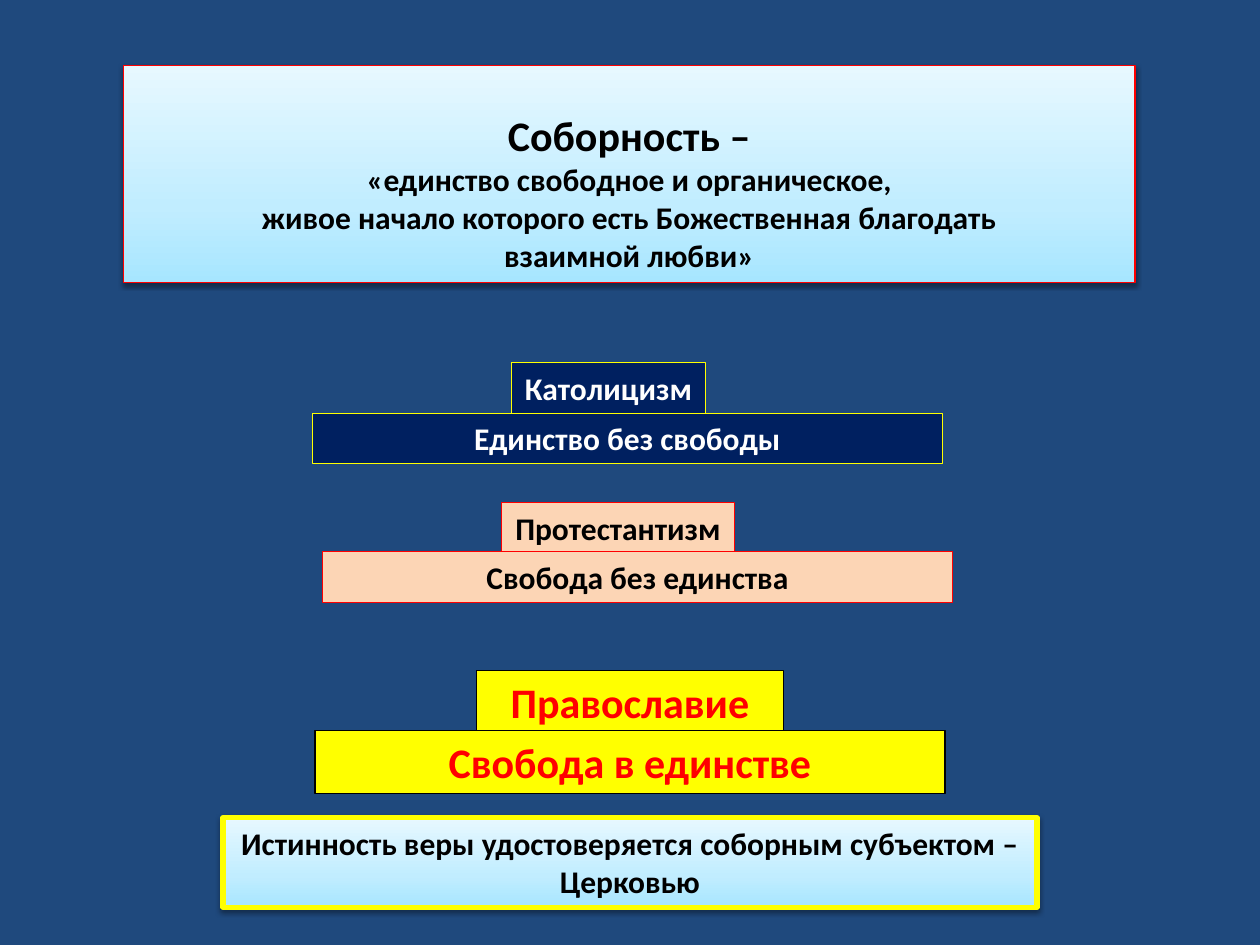
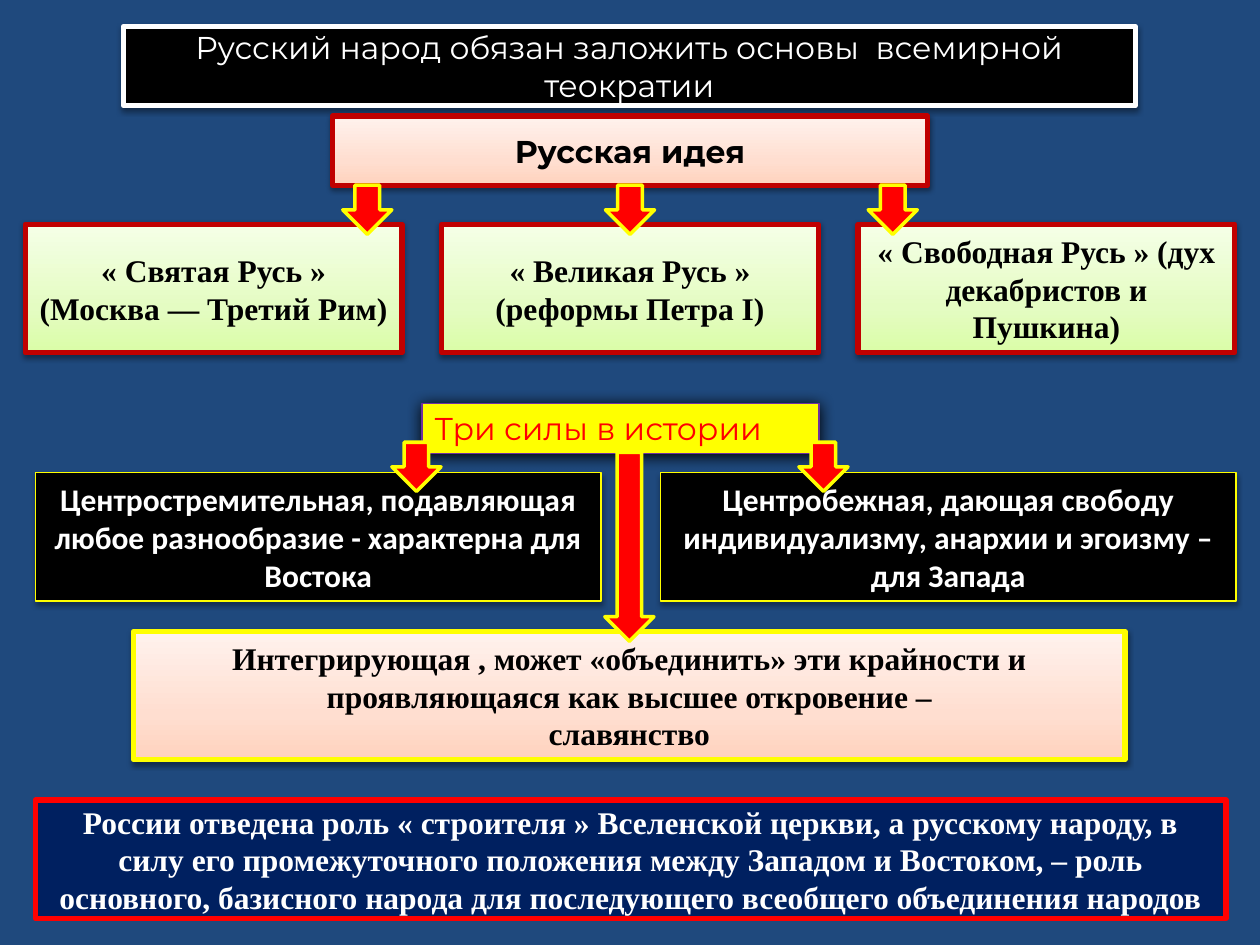
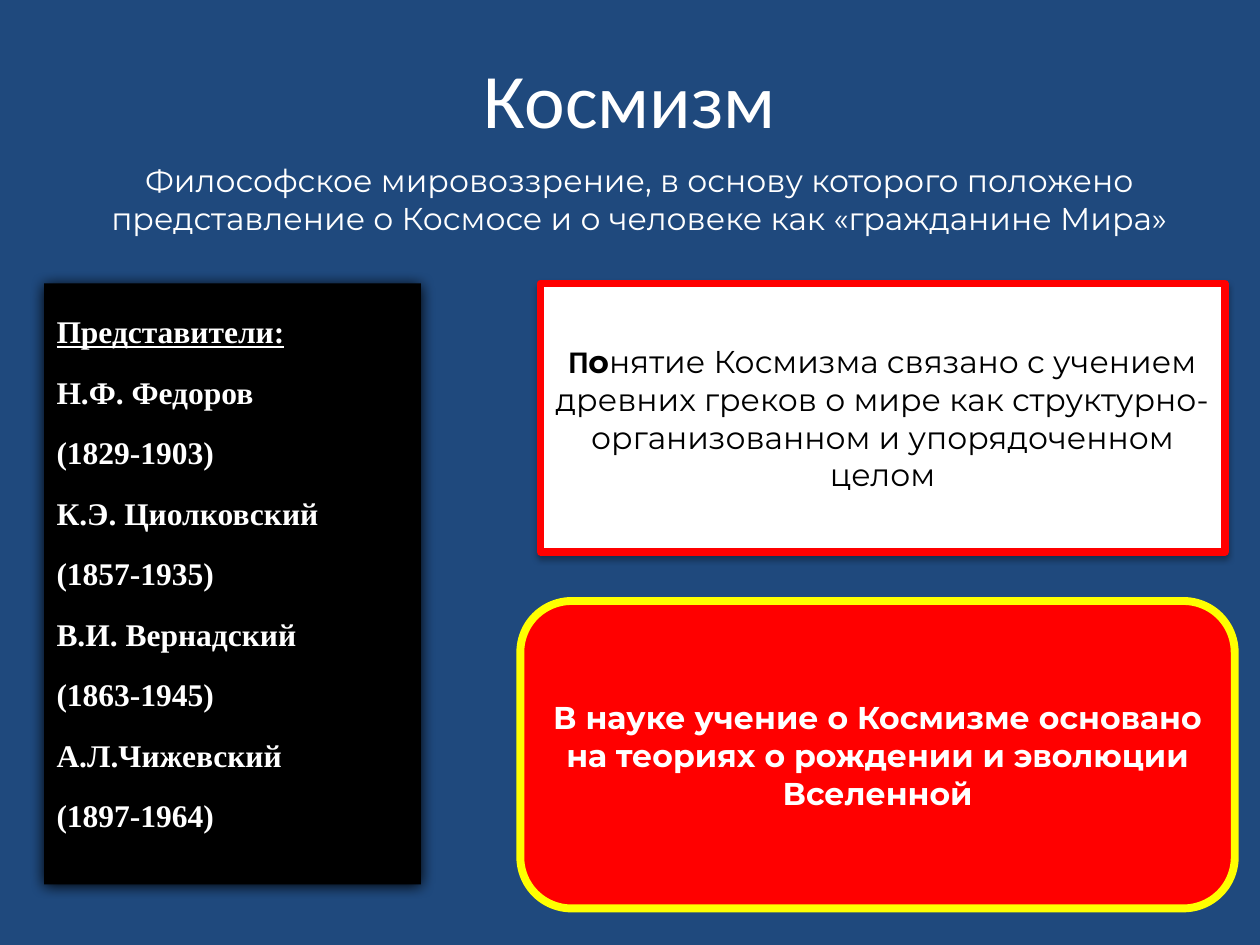
"""Builds three slides on Russian religious philosophy: sobornost, the Russian idea and cosmism."""
from dataclasses import dataclass

from lxml.etree import SubElement
from pptx import Presentation
from pptx.dml.color import RGBColor
from pptx.enum.shapes import MSO_SHAPE
from pptx.enum.text import MSO_ANCHOR, PP_ALIGN
from pptx.oxml.ns import qn
from pptx.util import Inches, Pt


@dataclass(frozen=True)
class Theme:
    background: str = "1F497D"
    black: str = "000000"
    white: str = "FFFFFF"
    red: str = "FF0000"
    dark_red: str = "C00000"
    yellow: str = "FFFF00"
    navy: str = "002060"
    peach: str = "FCD5B5"
    purple: str = "7030A0"
    sky: tuple = ("A7E6FF", "C1EDFF", "E7F8FF")
    salmon: tuple = ("FFD2BD", "FFDED0", "FFF2ED")
    lime: tuple = ("DAFDA7", "E4FCC2", "F5FFE7")
    stops: tuple = (0, 35, 100)
    soft: tuple = (38, 3.1, 1.6)
    medium: tuple = (35, 3.1, 1.8)
    wide: tuple = (32, 3.5, 2.2)
    heavy: tuple = (100, 8.5, 1)
    sans: str = "Calibri"
    accent: str = "Montserrat"
    serif: str = "Times New Roman"
    title: int = 44
    large: int = 24
    body: int = 18
    hairline: float = 0.75
    arrow: float = 2
    frame: float = 3
    thick: float = 4.5


T = Theme()


def rgb(value):
    return RGBColor.from_string(value)


def spread(first, last, count):
    step = (last - first) / (count - 1)
    return [first + i * step for i in range(count)]


class Deck:
    """Holds the presentation, its style and the current slide."""

    def __init__(self):
        self.prs = Presentation()
        self.prs.slide_width, self.prs.slide_height = Inches(10), Inches(7.5)
        fill = self.prs.slide_master.background.fill
        fill.solid()
        fill.fore_color.rgb = rgb(T.background)
        self.s = None

    def slide(self, title=None):
        layout = self.prs.slide_layouts[6 if title is None else 5]
        self.s = self.prs.slides.add_slide(layout)
        if title is not None:
            sp = self.s.shapes.title
            self.place(sp, 0.5, 0, 9, 1.55)
            self.add_runs(sp, [title], color=T.white, size=T.title, bold=False)

    def place(self, sp, *box):
        sp.left, sp.top, sp.width, sp.height = map(Inches, box)

    def add_runs(self, sp, paragraphs, color=T.black, font=T.sans, size=T.body, bold=True,
                 align=PP_ALIGN.CENTER, anchor=MSO_ANCHOR.MIDDLE, wrap=True, spacing=None):
        tf = sp.text_frame
        tf.word_wrap = wrap
        tf.vertical_anchor = anchor
        for i, runs in enumerate(paragraphs):
            p = tf.paragraphs[0] if i == 0 else tf.add_paragraph()
            p.alignment = align
            if spacing:
                p.line_spacing = spacing
            for text, changes in [(runs, {})] if isinstance(runs, str) else runs:
                style = dict(name=font, size=size, bold=bold) | changes
                r = p.add_run()
                r.text = text
                r.font.name = style["name"]
                r.font.size = Pt(style["size"])
                r.font.bold = style["bold"]
                r.font.underline = style.get("underline")
                r.font.color.rgb = rgb(color)

    def text(self, box, paragraphs, **style):
        sp = self.s.shapes.add_textbox(*map(Inches, box))
        self.add_runs(sp, paragraphs, **style)

    def gradient(self, sp, colors):
        sp.fill.gradient()
        sp.fill.gradient_angle = 90
        stops = sp._element.spPr.find(qn("a:gradFill")).find(qn("a:gsLst"))
        for stop in list(stops):
            stops.remove(stop)
        for position, color in zip(T.stops, colors):
            stop = SubElement(stops, qn("a:gs"), pos=str(position * 1000))
            SubElement(stop, qn("a:srgbClr"), val=color)

    def shadow(self, sp, alpha, blur, distance):
        effects = sp._element.spPr.find(qn("a:effectLst"))
        outer = SubElement(effects, qn("a:outerShdw"), blurRad=str(int(Pt(blur))),
                           dist=str(int(Pt(distance))), dir="5400000", rotWithShape="0")
        color = SubElement(outer, qn("a:srgbClr"), val=T.black)
        SubElement(color, qn("a:alpha"), val=str(alpha * 1000))

    def box(self, box, fill, line=None, width=T.hairline, shadow=None,
            paragraphs=(), kind=MSO_SHAPE.RECTANGLE, **style):
        sp = self.s.shapes.add_shape(kind, *map(Inches, box))
        if isinstance(fill, tuple):
            self.gradient(sp, fill)
        else:
            sp.fill.solid()
            sp.fill.fore_color.rgb = rgb(fill)
        if line:
            sp.line.color.rgb = rgb(line)
            sp.line.width = Pt(width)
        else:
            sp.line.fill.background()
        sp.shadow.inherit = False
        if shadow:
            self.shadow(sp, *shadow)
        self.add_runs(sp, paragraphs, **style)
        return sp

    def arrow(self, left, top, height=0.39):
        self.box((left, top, 0.39, height), T.red, T.yellow, T.arrow,
                 kind=MSO_SHAPE.DOWN_ARROW)


def sobornost(d):
    d.slide()
    definition = d.box((0.98, 0.52, 8.03, 1.72), T.sky, T.red, shadow=T.soft, paragraphs=[
        [("Соборность –", dict(size=T.large))],
        "«единство свободное и органическое,",
        "живое начало которого есть Божественная благодать",
        "взаимной любви»"], anchor=MSO_ANCHOR.TOP)
    definition.text_frame.margin_top = Inches(0.35)
    confessions = [
        ("Католицизм", (4.06, 2.88, 1.54, 0.4), "Единство без свободы", (2.48, 3.28, 5, 0.4),
         T.navy, T.yellow, T.white, T.body),
        ("Протестантизм", (3.98, 3.99, 1.85, 0.4), "Свобода без единства", (2.56, 4.38, 5, 0.4),
         T.peach, T.red, T.black, T.body),
        ("Православие", (3.78, 5.32, 2.44, 0.5), "Свобода в единстве", (2.5, 5.8, 5, 0.5),
         T.yellow, T.black, T.red, T.large)]
    for name, name_box, motto, motto_box, fill, line, color, size in confessions:
        for label, box in ((name, name_box), (motto, motto_box)):
            d.box(box, fill, line, paragraphs=[label], color=color, size=size,
                  anchor=MSO_ANCHOR.TOP, wrap=label != name)
    d.box((1.77, 6.49, 6.46, 0.71), T.sky, T.yellow, T.frame, T.soft, [
        "Истинность веры удостоверяется соборным субъектом –", "Церковью"],
        anchor=MSO_ANCHOR.TOP)


def russian_idea(d):
    d.slide()
    d.box((0.98, 0.21, 8.03, 0.63), T.black, T.white, T.frame, T.soft,
          ["Русский народ обязан заложить основы  всемирной теократии"],
          color=T.white, font=T.accent, bold=False)
    d.box((2.64, 0.92, 4.72, 0.55), T.salmon, T.dark_red, T.frame, T.soft,
          ["Русская идея"], font=T.accent)
    ideals = ["« Святая Русь » (Москва — Третий Рим)",
              "« Великая Русь » (реформы Петра I)",
              "« Свободная Русь » (дух декабристов и Пушкина)"]
    for left, ideal in zip(spread(0.2, 6.81, 3), ideals):
        d.box((left, 1.78, 2.99, 1.02), T.lime, T.dark_red, T.frame, T.soft,
              [ideal], font=T.serif)
    for left in spread(2.72, 6.89, 3):
        d.arrow(left, 1.47)
    d.box((3.35, 3.2, 3.15, 0.4), T.yellow, T.purple, shadow=T.heavy,
          paragraphs=["Три силы в истории"], color=T.red, font=T.accent, bold=False,
          align=PP_ALIGN.LEFT, anchor=MSO_ANCHOR.TOP)
    forces = [
        (5.24, 4.57, "Центробежная, дающая свободу индивидуализму, анархии и эгоизму – для Запада"),
        (0.28, 4.49, "Центростремительная, подавляющая любое разнообразие - характерна для Востока")]
    for left, width, force in forces:
        d.box((left, 3.75, width, 1.02), T.black, T.yellow, shadow=T.medium,
              paragraphs=[force], color=T.white)
    d.box((1.06, 5.01, 7.87, 1.02), T.salmon, T.yellow, T.frame, T.soft, [
        "Интегрирующая , может «объединить» эти крайности и проявляющаяся как высшее откровение –",
        "славянство"], font=T.serif)
    d.box((0.28, 6.35, 9.45, 0.94), T.navy, T.red, T.frame, paragraphs=[
        "России отведена роль « строителя » Вселенской церкви, а русскому народу, в силу его "
        "промежуточного положения между Западом и Востоком, – роль основного, базисного народа "
        "для последующего всеобщего объединения народов"], color=T.white, font=T.serif)
    for left in (3.11, 6.34):
        d.arrow(left, 3.51)
    d.arrow(4.8, 3.59, 1.5)


def cosmism(d):
    d.slide("Космизм")
    d.text((0.35, 1.23, 9.45, 1.01), [
        "Философское мировоззрение, в основу которого положено представление о Космосе "
        "и о человеке как «гражданине Мира»"],
        color=T.white, font=T.accent, bold=False, anchor=MSO_ANCHOR.TOP)
    d.box((0.35, 2.25, 2.99, 4.77), T.black, shadow=T.heavy, paragraphs=[
        [("Представители:", dict(underline=True))],
        "Н.Ф. Федоров", "(1829-1903)",
        "К.Э. Циолковский", "(1857-1935)",
        "В.И. Вернадский", "(1863-1945)",
        "А.Л.Чижевский", "(1897-1964)"],
        color=T.white, font=T.serif, align=PP_ALIGN.LEFT, anchor=MSO_ANCHOR.TOP, spacing=1.6)
    d.box((4.29, 2.25, 5.43, 2.13), T.white, T.red, T.thick, T.wide, [[
        ("П", dict(name=T.sans)), ("о", {}),
        ("нятие Космизма связано с учением древних греков о мире как "
         "структурно-организованном и упорядоченном целом", dict(bold=False))]], font=T.accent)
    d.box((4.13, 4.77, 5.67, 2.44), T.red, T.yellow, T.thick, paragraphs=[
        "В науке учение о Космизме основано на теориях о рождении и эволюции Вселенной"],
        kind=MSO_SHAPE.ROUNDED_RECTANGLE, color=T.white, font=T.accent)


def main():
    d = Deck()
    for build in (sobornost, russian_idea, cosmism):
        build(d)
    d.prs.save("out.pptx")


if __name__ == "__main__":
    main()
